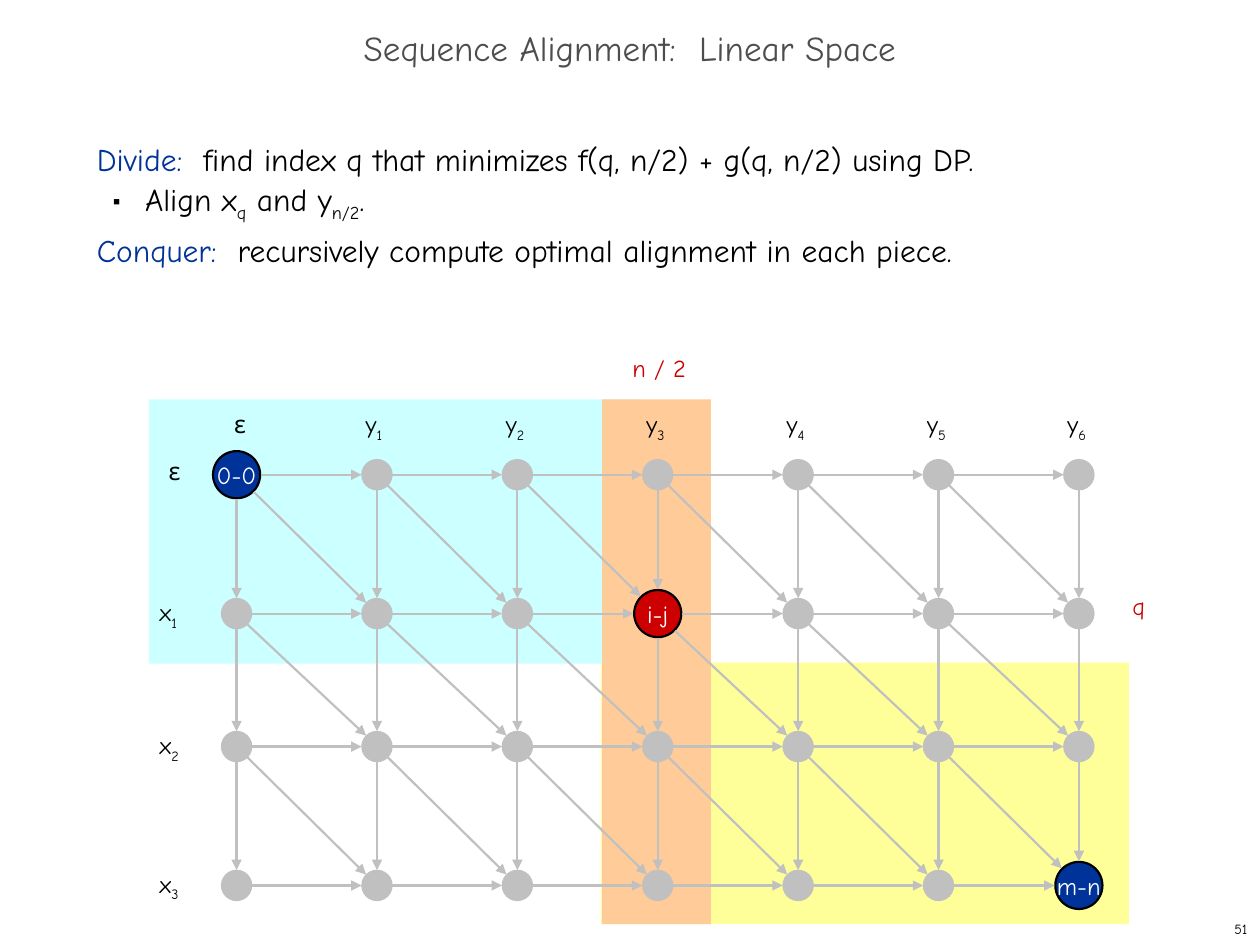
import math
from lxml import etree
from pptx import Presentation
from pptx.dml.color import RGBColor
from pptx.enum import shapes, text
from pptx.oxml import ns
from pptx.util import Cm, Pt

FONT = "Comic Neue"
HUE = {
    "black": "000000", "white": "FFFFFF", "title": "4D4D4D", "blue": "003399",
    "red": "CC0000", "gray": "C0C0C0", "cyan": "CCFFFF", "yellow": "FFFF99",
    "orange": "FFCC99",
}


def write(par, size, runs):
    """Add (words, colour, is_subscript) runs to a paragraph."""
    for words, hue, sub in runs:
        run = par.add_run()
        run.text = words
        run.font.size = Pt(size)
        run.font.name = FONT
        run.font.color.rgb = RGBColor.from_string(HUE[hue])
        if sub:
            run._r.get_or_add_rPr().set("baseline", "-25000")


def draw(kind, x, y, w, h, fill, edge=None):
    shape = slide.shapes.add_shape(kind, Cm(x), Cm(y), Cm(w), Cm(h))
    shape.shadow.inherit = False
    shape.fill.solid()
    shape.fill.fore_color.rgb = RGBColor.from_string(HUE[fill])
    if edge:
        shape.line.color.rgb = RGBColor.from_string(HUE[edge])
        shape.line.width = Pt(1.25)
    else:
        shape.line.fill.background()
    return shape


deck = Presentation()
deck.slide_width, deck.slide_height = Cm(25.4), Cm(19.05)
slide = deck.slides.add_slide(deck.slide_layouts[1])

# Title and body
title, body = slide.placeholders
title.left, title.top, title.width, title.height = Cm(0), Cm(0.43), Cm(25.4), Cm(1.27)
title.text_frame.auto_size = text.MSO_AUTO_SIZE.NONE
title.text_frame.vertical_anchor = text.MSO_ANCHOR.MIDDLE
par = title.text_frame.paragraphs[0]
par.alignment = text.PP_ALIGN.CENTER
par.line_spacing = 0.7
write(par, 20, [("Sequence Alignment:  Linear Space", "title", False)])

body.left, body.top, body.width, body.height = Cm(1.7), Cm(2.54), Cm(21.79), Cm(15.04)
frame = body.text_frame
frame.auto_size = text.MSO_AUTO_SIZE.NONE
points = [
    (0, [("Divide:  ", "blue", False),
         ("find index q that minimizes f(q, n/2) + g(q, n/2) using DP.", "black", False)]),
    (1, [("Align x", "black", False), ("q", "black", True), (" and y", "black", False),
         ("n/2", "black", True), (".", "black", False)]),
    (0, [("Conquer:  ", "blue", False),
         ("recursively compute optimal alignment in each piece.", "black", False)]),
]
for i, (level, runs) in enumerate(points):
    par = frame.add_paragraph() if i else frame.paragraphs[0]
    par.level = level
    par.line_spacing = Pt(26)
    par.space_before = Pt(0)
    props = par._p.get_or_add_pPr()
    props.set("marL", str(Cm(0.97) if level else 0))
    props.set("indent", str(Cm(-0.64) if level else 0))
    if level:
        tint = etree.SubElement(props, ns.qn("a:buClr"))
        etree.SubElement(tint, ns.qn("a:srgbClr"), val=HUE["black"])
        etree.SubElement(props, ns.qn("a:buSzPct"), val="35000")
        etree.SubElement(props, ns.qn("a:buChar"), char="■")
    else:
        etree.SubElement(props, ns.qn("a:buNone"))
    write(par, 18, runs)

# Regions behind the graph
for x, y, w, h, fill in [
    (12.12, 13.36, 10.64, 5.27, "yellow"),
    (3, 8.05, 9.88, 5.33, "cyan"),
    (12.14, 8.05, 2.19, 10.58, "orange"),
]:
    draw(shapes.MSO_SHAPE.RECTANGLE, x, y, w, h, fill)

# Nodes
cols = [4.77 + 2.83 * c for c in range(7)]
rows = [9.57, 12.37, 15.05, 17.85]
marks = {(0, 0): ("0-0", "blue"), (3, 1): ("i-j", "red"), (6, 3): ("m-n", "blue")}
spots = [(c, r) for r in range(len(rows)) for c in range(len(cols))]
for c, r in spots:
    name, fill = marks.get((c, r), ("", "gray"))
    size = 0.95 if name else 0.59
    node = draw(shapes.MSO_SHAPE.OVAL, cols[c] - size / 2, rows[r] - size / 2,
                size, size, fill, "black" if name else "gray")
    if name:
        node.text_frame.word_wrap = False
        node.text_frame.vertical_anchor = text.MSO_ANCHOR.MIDDLE
        par = node.text_frame.paragraphs[0]
        par.alignment = text.PP_ALIGN.CENTER
        write(par, 14, [(name, "white", False)])

# Arrows right, down and diagonal
for c, r in spots:
    for dc, dr in [(1, 0), (0, 1), (1, 1)]:
        end = (c + dc, r + dr)
        if end not in spots:
            continue
        out, back = [(0.49 if s in marks else 0.31) / math.hypot(dc, dr)
                     for s in ((c, r), end)]
        line = slide.shapes.add_connector(
            shapes.MSO_CONNECTOR.STRAIGHT,
            Cm(cols[c] + out * dc), Cm(rows[r] + out * dr),
            Cm(cols[end[0]] - back * dc), Cm(rows[end[1]] - back * dr))
        line.line.color.rgb = RGBColor.from_string(HUE["gray"])
        line.line.width = Pt(1.25)
        etree.SubElement(line.line._get_or_add_ln(), ns.qn("a:tailEnd"), type="triangle")
        etree.SubElement(line._element.spPr, ns.qn("a:effectLst"))

# Labels: left, top, width, base, subscript, colour
labels = [(4.47, 8.13, 1.14, "ε", "", "black"), (3.15, 9.07, 1.14, "ε", "", "black")]
labels += [(cols[c] - 0.48, 8.13, 1.14, "y", str(c), "black") for c in range(1, 7)]
labels += [(2.97, rows[r] - 0.45, 1.14, "x", str(r), "black") for r in range(1, 4)]
labels += [(22.58, 11.79, 1.02, "q", "", "red"), (12.5, 6.99, 2.34, "n / 2", "", "red")]
for x, y, w, base, sub, hue in labels:
    box = slide.shapes.add_textbox(Cm(x), Cm(y), Cm(w), Cm(0.84))
    box.text_frame.word_wrap = True
    box.text_frame.auto_size = text.MSO_AUTO_SIZE.SHAPE_TO_FIT_TEXT
    runs = [(base, hue, False)] + ([(sub, hue, True)] if sub else [])
    write(box.text_frame.paragraphs[0], 14, runs)

# Page number
box = slide.shapes.add_textbox(Cm(20.12), Cm(18.42), Cm(5.28), Cm(0.63))
box.text_frame.word_wrap = False
box.text_frame.vertical_anchor = text.MSO_ANCHOR.MIDDLE
par = box.text_frame.paragraphs[0]
par.alignment = text.PP_ALIGN.RIGHT
write(par, 8, [("51", "black", False)])

deck.save("out.pptx")
